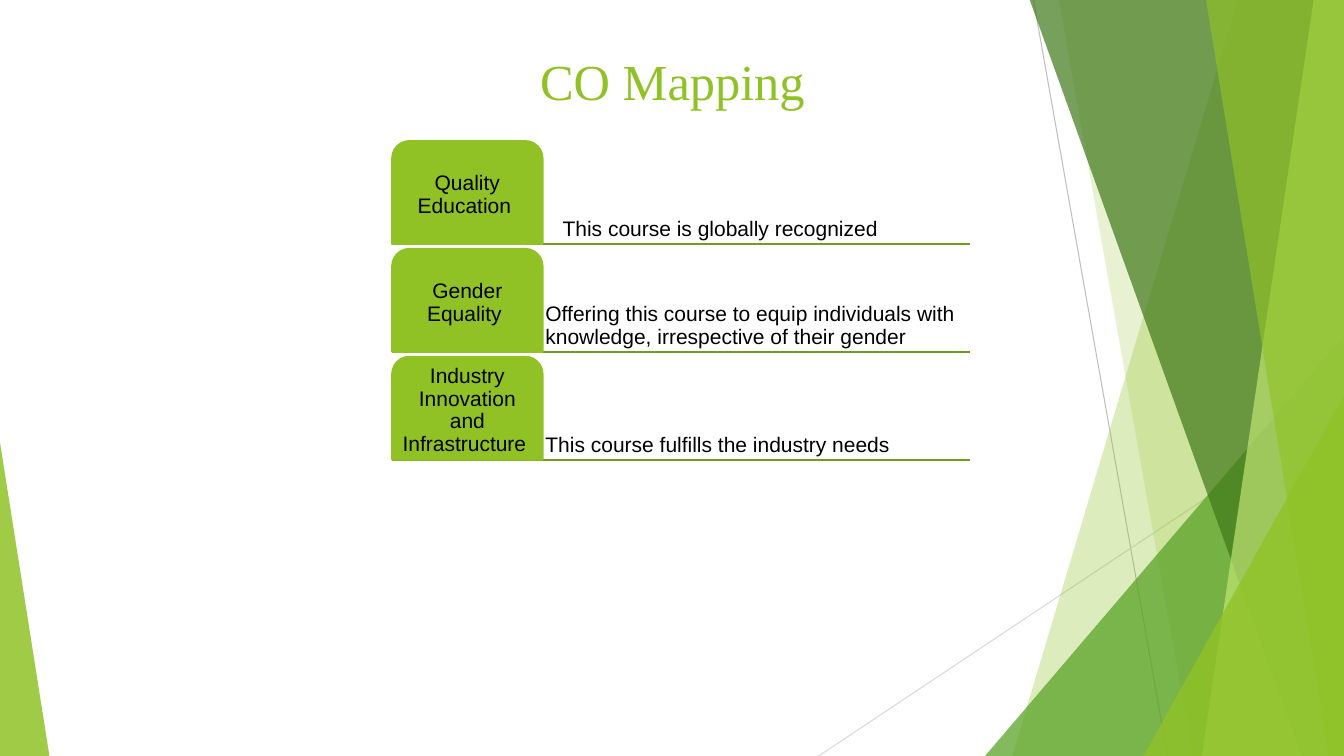
from lxml import etree
from pptx import Presentation
from pptx.dml.color import RGBColor
from pptx.enum.shapes import MSO_CONNECTOR, MSO_SHAPE
from pptx.enum.text import MSO_ANCHOR, PP_ALIGN
from pptx.oxml.ns import qn
from pptx.util import Inches, Pt

LINE = MSO_CONNECTOR.STRAIGHT
WEDGE, TAB = MSO_SHAPE.ISOSCELES_TRIANGLE, MSO_SHAPE.ROUND_2_SAME_RECTANGLE
TOP, MIDDLE, BOTTOM = MSO_ANCHOR.TOP, MSO_ANCHOR.MIDDLE, MSO_ANCHOR.BOTTOM
LEFT, CENTER = PP_ALIGN.LEFT, PP_ALIGN.CENTER
LIME = RGBColor(0x90, 0xC2, 0x26)
PALE = RGBColor(0xC0, 0xE4, 0x74)
GREEN = RGBColor(0x54, 0xA0, 0x21)
DARK = RGBColor(0x3F, 0x78, 0x19)
OLIVE = RGBColor(0x73, 0x9B, 0x1E)
GREY = RGBColor(0xBF, 0xBF, 0xBF)
SILVER = RGBColor(0xD9, 0xD9, 0xD9)
BLACK = RGBColor(0, 0, 0)
WIDE, HIGH, EDGE = 13.33, 7.5, -0.01


class Deck:
    """Holds the text style and the slide, and draws each kind of element."""

    def __init__(self):
        self.show = Presentation()
        self.show.slide_width, self.show.slide_height = Inches(WIDE), Inches(HIGH)
        self.slide = self.show.slides.add_slide(self.show.slide_layouts[6])
        self.shapes = self.slide.shapes
        self.font, self.size, self.inset = "Arial", 15, 0.03

    def line(self, start, end, color, width):
        rule = self.shapes.add_connector(LINE, *map(Inches, start + end))
        rule.line.color.rgb, rule.line.width = color, Pt(width)
        etree.SubElement(rule._element.spPr, qn("a:effectLst"))

    def tint(self, shape, color, alpha):
        shape.shadow.inherit = False
        shape.fill.solid()
        shape.fill.fore_color.rgb = color
        shape.line.fill.background()
        fill = shape._element.spPr.find(qn("a:solidFill"))
        etree.SubElement(fill[0], qn("a:alpha"), val=str(alpha * 1000))

    def band(self, top, foot, color, alpha):
        pen = self.shapes.build_freeform(Inches(top), Inches(EDGE))
        points = [(WIDE, EDGE), (WIDE, HIGH), (foot, HIGH)]
        pen.add_line_segments([(Inches(x), Inches(y)) for x, y in points])
        self.tint(pen.convert_to_shape(), color, alpha)

    def wedge(self, box, tip, color, alpha):
        shape = self.shapes.add_shape(WEDGE, *map(Inches, box))
        shape.adjustments[0] = tip
        self.tint(shape, color, alpha)

    def label(self, shape, text, align, anchor, color=BLACK, font=None, size=None,
              left=0, top=0, space=0.9):
        frame = shape.text_frame
        frame.word_wrap, frame.vertical_anchor = True, anchor
        frame.margin_right = frame.margin_bottom = Inches(self.inset)
        frame.margin_left = Inches(self.inset + left)
        frame.margin_top = Inches(self.inset + top)
        para = frame.paragraphs[0]
        para.alignment, para.line_spacing = align, space
        run = para.add_run()
        run.text = text
        run.font.name, run.font.size = font or self.font, Pt(size or self.size)
        run.font.color.rgb = color

    def text(self, box, *words, **style):
        self.label(self.shapes.add_textbox(*map(Inches, box)), *words, **style)

    def tab(self, box, goal):
        shape = self.shapes.add_shape(TAB, *map(Inches, box))
        shape.shadow.inherit = False
        shape.fill.solid()
        shape.fill.fore_color.rgb = shape.line.color.rgb = LIME
        shape.line.width = Pt(1.5)
        self.label(shape, goal, CENTER, MIDDLE)


def main():
    deck = Deck()
    deck.line((10.25, 0), (11.58, HIGH), GREY, 0.75)
    deck.line((WIDE, 4.03), (8.12, HIGH), SILVER, 0.75)
    deck.band(12.28, 10.04, LIME, 30)
    deck.band(10.5, 11.83, LIME, 20)
    deck.wedge((9.77, 3.33, 3.56, 4.17), 1, GREEN, 72)
    deck.band(10.21, 12.91, DARK, 70)
    deck.band(13.03, 11.92, PALE, 70)
    deck.band(11.96, 13.18, LIME, 65)
    deck.wedge((11.34, 3.93, 1.99, 3.57), 1, LIME, 80)
    deck.wedge((0, 4.39, 0.49, 3.11), 0, LIME, 85)

    deck.text((0.92, 0.4, 11.5, 1), "CO Mapping", CENTER, TOP, color=LIME,
              font="Times New Roman", size=36, top=0.07, space=1.0)

    goals = [
        ("Quality Education ", "This course is globally recognized", 0.17),
        ("Gender Equality ", "Offering this course to equip individuals with "
         "knowledge, irrespective of their gender", 0),
        ("Industry Innovation and Infrastructure ",
         "This course fulfills the industry needs", 0),
    ]
    left, split, right, top, tall, pitch = 3.89, 5.38, 9.62, 1.4, 1.02, 1.07
    for row, (goal, note, shift) in enumerate(goals):
        y = top + row * pitch
        deck.line((left, y + tall), (right, y + tall), OLIVE, 1.5)
        deck.text((split, y, right - split, tall), note, LEFT, BOTTOM, left=shift)
        deck.tab((left, y, split - left, tall), goal)
    deck.show.save("out.pptx")


if __name__ == "__main__":
    main()
